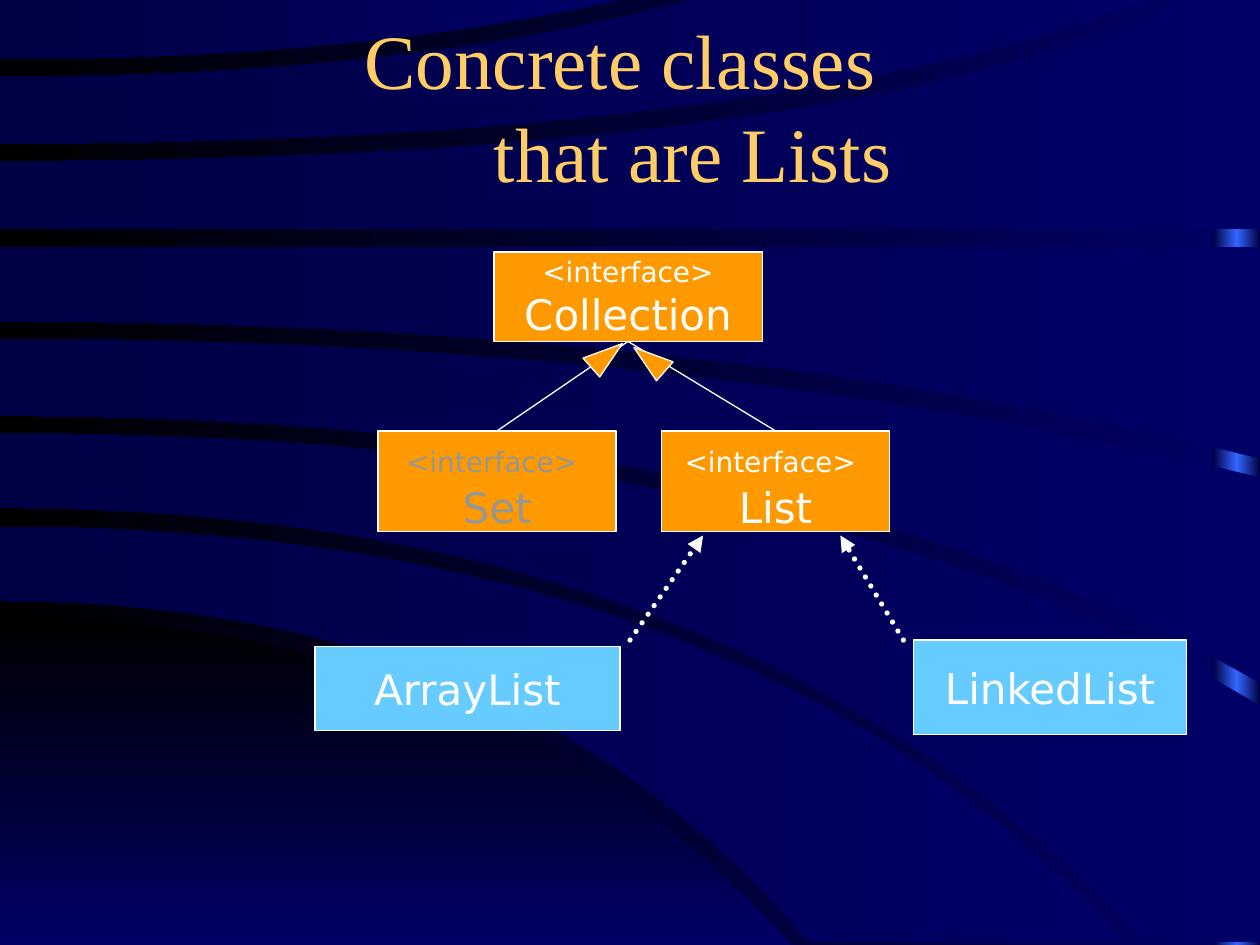
import copy

import pptx
import pptx.dml.color
import pptx.enum.dml
import pptx.enum.shapes
import pptx.enum.text
import pptx.oxml
import pptx.oxml.ns
import pptx.util

Inches = pptx.util.Inches
SHAPES = pptx.enum.shapes.MSO_SHAPE
SANS, SERIF = "DejaVu Sans", "Times New Roman"
COLORS = {
    "black": "000000", "navy": "000066", "midnight": "000044", "glow": "3366FF",
    "gold": "FFCC66", "orange": "FF9900", "sky": "66CCFF", "white": "FFFFFF", "grey": "969696",
}

# Every edge leaves the left side level: (left y, bend x, end x, end y)
CORNER = ((4.91, 3.98, 6.28, 7.5), [], (7.5, 3, 6.28, 7.5))
BANDS = [  # upper edge, corners on the right, lower edge
    ((4.18, 5.93, 8.93, 7.48), [], (4.77, 4.17, 6.42, 7.48)),
    ((3.44, 6.4, 10, 5.6), [(10, 7.48)], (4.03, 5.88, 9.09, 7.48)),
    ((2.69, 5.54, 10, 3.79), [], (3.3, 6.3, 10, 5.42)),
    ((1.96, 5, 10, 1.96), [], (2.55, 5.66, 10, 3.64)),
    ((1.28, 6.68, 9.4, 0), [(10, 0)], (1.82, 5, 10, 1.82)),
    ((0.61, 3.26, 5.48, 0), [], (1.14, 6.08, 9.13, 0)),
    ((0, 2.5, 4.92, 0), [], (0.47, 2.84, 4.92, 0)),
]
CURVE_STEPS = 24

# Each text is a list of lines, each line a list of (text, size, font)
TITLE = [[("Concrete classes ", 44, SERIF)], [("\tthat are Lists", 44, SERIF)]]
TAG = ("<interface>", 16, SANS)
SPACE = (" ", 24, SERIF)
BOXES = {  # name: (place, fill, text color, lines above the name)
    "Collection": ((3.92, 2, 2.13, 0.71), "orange", "white", [[TAG]]),
    "Set": ((3, 3.42, 1.89, 0.8), "orange", "grey", [[TAG, SPACE]]),
    "List": ((5.25, 3.42, 1.81, 0.8), "orange", "white", [[TAG, SPACE]]),
    "ArrayList": ((2.5, 5.13, 2.42, 0.67), "sky", "white", []),
    "LinkedList": ((7.25, 5.08, 2.17, 0.75), "sky", "white", []),
}
SUBTYPES = [  # subtype, triangle place, rotation, flipped
    ("Set", (4.71, 2.66, 0.2, 0.31), 48.6, False),
    ("List", (5.06, 2.69, 0.2, 0.31), 311.4, True),
]
DOTTED_ARROWS = [((5, 5.08), (5.58, 4.25)), ((7.17, 5.08), (6.67, 4.25))]


def rgb(name):
    return pptx.dml.color.RGBColor.from_string(COLORS[name])


def set_gradient(fill, owner, names, angle):
    """Spread the named colors evenly; angle runs counter-clockwise."""
    fill.gradient()
    fill.gradient_angle = angle
    stop_list = next(owner.iter(pptx.oxml.ns.qn("a:gsLst")))
    while len(stop_list) < len(names):
        stop_list.append(copy.deepcopy(stop_list[-1]))
    for i, (stop, name) in enumerate(zip(fill.gradient_stops, names)):
        stop.color.rgb = rgb(name)
        stop.position = i / (len(names) - 1)


def trace_edge(left_y, bend_x, end_x, end_y):
    """Points of a quadratic curve that starts level at the left side."""
    steps = [i / CURVE_STEPS for i in range(CURVE_STEPS + 1)]
    return [(2 * bend_x * t * (1 - t) + end_x * t * t, left_y + (end_y - left_y) * t * t)
            for t in steps]


def add_band(page, upper, corners, lower, names, angle):
    outline = trace_edge(*upper) + corners + trace_edge(*lower)[::-1]
    points = [(Inches(x), Inches(y)) for x, y in outline]
    builder = page.shapes.build_freeform(*points[0], scale=1.0)
    builder.add_line_segments(points[1:], close=True)
    shape = builder.convert_to_shape()
    shape.shadow.inherit = False
    shape.line.fill.background()
    set_gradient(shape.fill, shape._element.spPr, names, angle)


def add_shape(page, kind, place, fill=None, line=None):
    shape = page.shapes.add_shape(kind, *map(Inches, place))
    shape.shadow.inherit = False
    if fill:
        shape.fill.solid()
        shape.fill.fore_color.rgb = rgb(fill)
    if line:
        shape.line.color.rgb = rgb(line)
        shape.line.width = pptx.util.Pt(0.75)
    else:
        shape.line.fill.background()
    return shape


def write_text(shape, lines, color="white", wrap=False):
    frame = shape.text_frame
    frame.word_wrap = wrap
    frame.vertical_anchor = pptx.enum.text.MSO_ANCHOR.MIDDLE
    para = frame.paragraphs[0]
    para.alignment = pptx.enum.text.PP_ALIGN.CENTER
    tabs = "".join(f'<a:tab pos="{Inches(i)}" algn="l"/>' for i in range(8))
    para._p.get_or_add_pPr().append(
        pptx.oxml.parse_xml(f'<a:tabLst {pptx.oxml.ns.nsdecls("a")}>{tabs}</a:tabLst>'))
    for i, line in enumerate(lines):
        if i:
            para.add_line_break()
            para._p[-1].append(copy.deepcopy(span._r.rPr))
        for text, size, font in line:
            span = para.add_run()
            span.text = text
            span.font.size = pptx.util.Pt(size)
            span.font.name = font
            span.font.color.rgb = rgb(color)


def add_line(page, start=(0, 0), end=(0, 0), width=0.75):
    line = page.shapes.add_connector(
        pptx.enum.shapes.MSO_CONNECTOR.STRAIGHT, *map(Inches, start + end))
    line.line.color.rgb = rgb("white")
    line.line.width = pptx.util.Pt(width)
    line._element.spPr.append(
        pptx.oxml.parse_xml(f'<a:effectLst {pptx.oxml.ns.nsdecls("a")}/>'))
    return line


deck = pptx.Presentation()
deck.slide_width, deck.slide_height = Inches(10), Inches(7.5)
page = deck.slides.add_slide(deck.slide_layouts[6])
set_gradient(page.background.fill, page._element, ["navy", "black"], 180)

strip = add_shape(page, SHAPES.RECTANGLE, (9.63, 0, 0.37, 7.5))
set_gradient(strip.fill, strip._element.spPr, ["midnight", "glow", "midnight"], 180)
add_band(page, *CORNER, ["black", "navy"], 270)
for band in BANDS:
    add_band(page, *band, ["navy", "midnight"], 180)

title = page.shapes.add_textbox(*map(Inches, (0.75, 0.42, 8.5, 0.83)))
write_text(title, TITLE, color="gold", wrap=True)

boxes = {}
for name, (place, fill, color, lines) in BOXES.items():
    boxes[name] = add_shape(page, SHAPES.RECTANGLE, place, fill, "white")
    write_text(boxes[name], lines + [[(name, 24, SANS)]], color)

for name, place, rotation, flipped in SUBTYPES:
    line = add_line(page)
    line.begin_connect(boxes["Collection"], 2)
    line.end_connect(boxes[name], 0)
    head = add_shape(page, SHAPES.ISOSCELES_TRIANGLE, place, "orange", "white")
    head.adjustments[0] = 0.6
    head.rotation = rotation
    if flipped:
        head._element.spPr.xfrm.set("flipH", "1")

for start, end in DOTTED_ARROWS:
    arrow = add_line(page, start, end, width=3)
    arrow.line.dash_style = pptx.enum.dml.MSO_LINE.ROUND_DOT
    outline = arrow.line._get_or_add_ln()
    outline.set("cap", "rnd")
    outline.append(pptx.oxml.parse_xml(
        f'<a:tailEnd {pptx.oxml.ns.nsdecls("a")} type="triangle"/>'))

deck.save("out.pptx")
